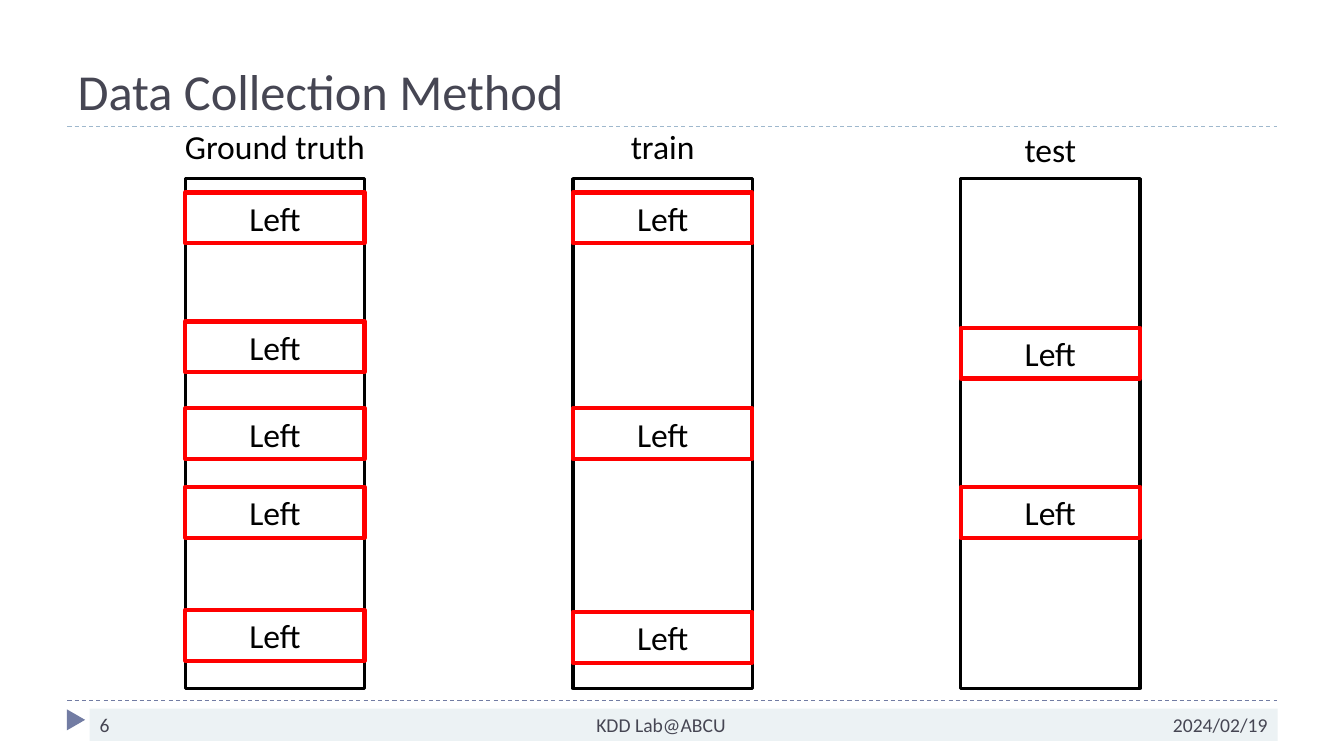
from pptx import Presentation
from pptx.dml.color import RGBColor
from pptx.enum import dml, shapes, text
from pptx.oxml.ns import qn
from pptx.util import Cm, Pt

BLACK = RGBColor(0x00, 0x00, 0x00)
RED = RGBColor(0xFF, 0x00, 0x00)
SLATE = RGBColor(0x46, 0x46, 0x53)
INDIGO = RGBColor(0x72, 0x7C, 0xA3)
SKY = RGBColor(0x9F, 0xB8, 0xCD)
PALE = RGBColor(0xEC, 0xF2, 0xF4)

FONT = "Calibri"
LEFT, CENTER, RIGHT = (text.PP_ALIGN.LEFT, text.PP_ALIGN.CENTER,
                       text.PP_ALIGN.RIGHT)
MARGIN, CONTENT_WIDTH = 1.7, 30.48
COLUMN_LEFT, COLUMN_STEP, COLUMN_WIDTH = 4.67, 9.77, 4.52
COLUMN_TOP, COLUMN_HEIGHT = 4.5, 12.85
BOX_HEIGHT = 1.28
FOOTER_LEFT, FOOTER_TOP, FOOTER_HEIGHT = 2.26, 17.86, 0.81

# heading, heading top, heading width, tops of the labelled boxes
COLUMNS = [
    ("Ground truth", 3.05, 6.48, [4.85, 8.1, 10.29, 12.27, 15.37]),
    ("train", 3.05, 4.01, [4.85, 10.29, 15.42]),
    ("test", 3.12, 4.01, [8.26, 12.27]),
]
FOOTER = [("6", 7.34, LEFT), ("KDD Lab@ABCU", 14.12, CENTER),
          ("2024/02/19", 8.48, RIGHT)]


def write(shape, words, size, color, align=CENTER,
          anchor=text.MSO_ANCHOR.MIDDLE):
    frame = shape.text_frame
    frame.text = words
    frame.word_wrap = True
    frame.vertical_anchor = anchor
    paragraph = frame.paragraphs[0]
    paragraph.alignment = align
    font = paragraph.runs[0].font
    font.name, font.size, font.color.rgb = FONT, Pt(size), color


def add_shape(slide, kind, left, top, width, height, fill=None, line=None,
              line_width=0):
    shape = slide.shapes.add_shape(kind, Cm(left), Cm(top), Cm(width),
                                   Cm(height))
    shape.shadow.inherit = False
    if fill is None:
        shape.fill.background()
    else:
        shape.fill.solid()
        shape.fill.fore_color.rgb = fill
    if line is None:
        shape.line.fill.background()
    else:
        shape.line.color.rgb = line
        shape.line.width = Pt(line_width)
    return shape


def add_rectangle(slide, *place, **style):
    return add_shape(slide, shapes.MSO_SHAPE.RECTANGLE, *place, **style)


def add_dashed_rule(slide, top, color):
    rule = slide.shapes.add_connector(
        shapes.MSO_CONNECTOR.STRAIGHT, Cm(MARGIN), Cm(top),
        Cm(MARGIN + CONTENT_WIDTH), Cm(top))
    rule.line.color.rgb = color
    rule.line.width = Pt(0.75)
    rule.line.dash_style = dml.MSO_LINE.DASH
    properties = rule._element.spPr
    properties.append(properties.makeelement(qn("a:effectLst"), {}))


def add_title(slide, words):
    title = slide.shapes.title
    title.left, title.top = Cm(MARGIN), Cm(0.43)
    title.width, title.height = Cm(CONTENT_WIDTH), Cm(2.74)
    write(title, words, 36, SLATE, LEFT, text.MSO_ANCHOR.BOTTOM)


def add_column(slide, left, heading, heading_top, heading_width, box_tops):
    add_rectangle(slide, left, COLUMN_TOP, COLUMN_WIDTH, COLUMN_HEIGHT,
                  line=BLACK, line_width=2.25)
    heading_left = left + (COLUMN_WIDTH - heading_width) / 2
    label = slide.shapes.add_textbox(Cm(heading_left), Cm(heading_top),
                                     Cm(heading_width), Cm(BOX_HEIGHT))
    write(label, heading, 24, BLACK)
    for top in box_tops:
        box = add_rectangle(slide, left, top, COLUMN_WIDTH, BOX_HEIGHT,
                            line=RED, line_width=3)
        write(box, "Left", 24, BLACK)


def add_footer(slide):
    marker = add_shape(slide, shapes.MSO_SHAPE.ISOSCELES_TRIANGLE,
                       1.65, 17.91, 0.53, 0.46, fill=INDIGO)
    marker.rotation = 90
    left = FOOTER_LEFT
    for words, width, align in FOOTER:
        cell = add_rectangle(slide, left, FOOTER_TOP, width, FOOTER_HEIGHT,
                             fill=PALE)
        write(cell, words, 14, SLATE, align)
        left += width


def main():
    presentation = Presentation()
    presentation.slide_width, presentation.slide_height = Cm(33.87), Cm(19.05)
    slide = presentation.slides.add_slide(presentation.slide_layouts[5])
    add_dashed_rule(slide, 17.65, INDIGO)
    add_dashed_rule(slide, 3.18, SKY)
    add_title(slide, "Data Collection Method")
    add_footer(slide)
    for index, column in enumerate(COLUMNS):
        add_column(slide, COLUMN_LEFT + index * COLUMN_STEP, *column)
    presentation.save("out.pptx")


if __name__ == "__main__":
    main()
